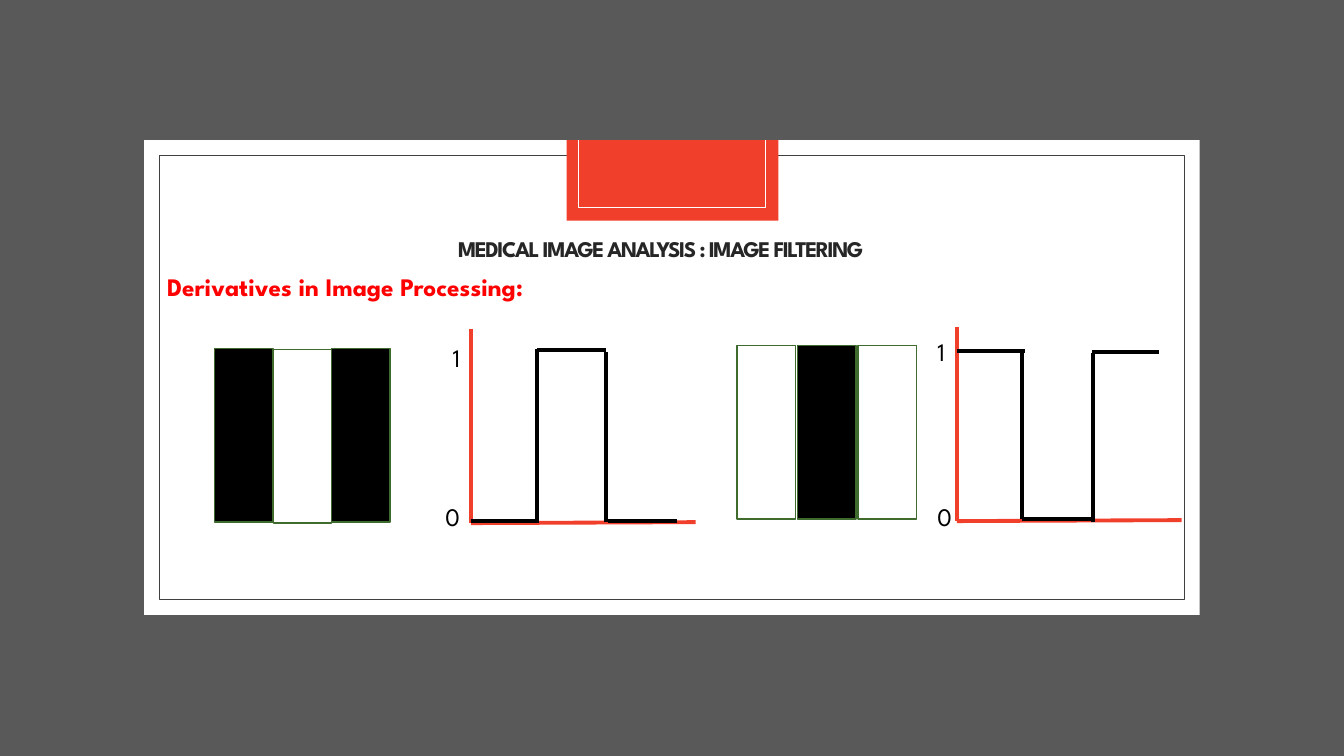
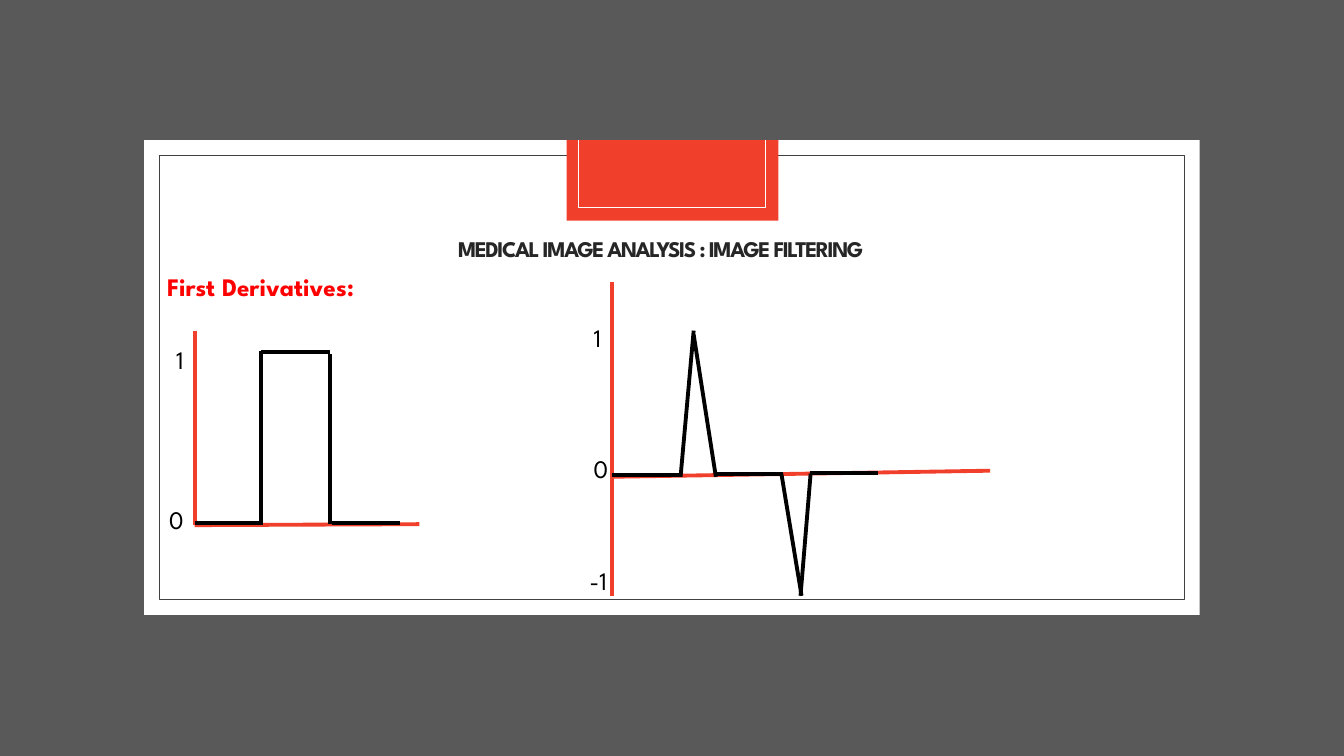
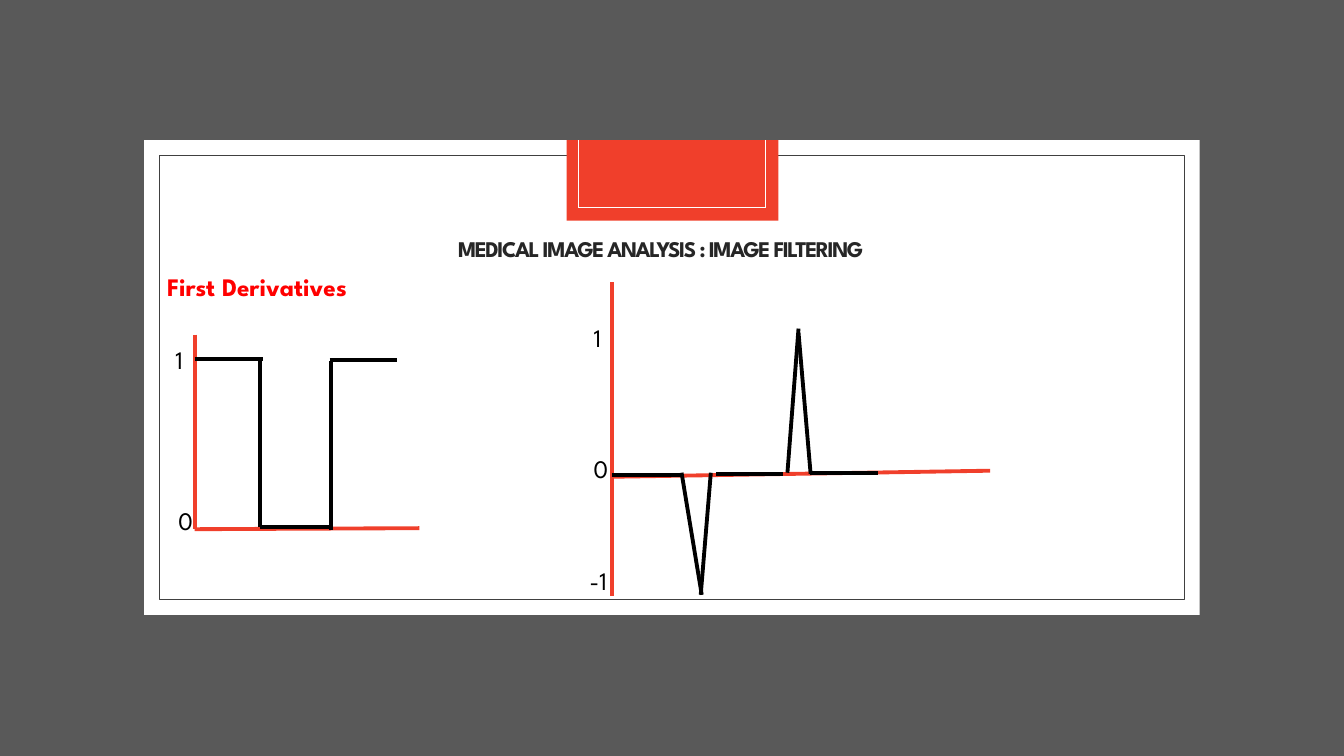
"""Build three slides on derivatives of step signals in image filtering."""
from lxml.etree import SubElement
from pptx import Presentation
from pptx.dml.color import RGBColor
from pptx.enum.shapes import MSO_CONNECTOR as CONNECTOR, MSO_SHAPE as SHAPE
from pptx.enum.text import MSO_ANCHOR as ANCHOR, PP_ALIGN as ALIGN
from pptx.oxml.ns import qn
from pptx.util import Inches, Pt

COLORS = {
    "background": "595959",
    "white": "FFFFFF",
    "black": "000000",
    "accent": "F03F2B",
    "frame": "404040",
    "stripe_edge": "406B2F",
    "title": "262626",
    "heading": "FF0000",
}
FONT = "League Spartan"
TITLE = "MEDICAL IMAGE ANALYSIS : IMAGE FILTERING"

BACKDROP = [
    (0, 0, 13.33, 7.5, "background", None),
    (1.43, 1.39, 10.47, 4.71, "white", None),
    (1.58, 1.54, 10.17, 4.41, None, "frame"),
    (5.62, 1.39, 2.1, 0.8, "accent", None),
]
TAB_LINES = [
    (5.74, 1.39, 5.74, 2.06),
    (7.59, 1.39, 7.59, 2.06),
    (5.74, 2.06, 7.59, 2.06),
]

STEP_AXES = [(0, -1.93, 0, 0), (2.23, -0.01, 0, 0)]
PULSE = [
    (0, -0.02, 0.68, -0.02),
    (0.66, -0.04, 0.66, -1.73),
    (0.66, -1.72, 1.34, -1.72),
    (1.34, -0.01, 1.34, -1.7),
    (1.36, -0.02, 2.04, -0.02),
]
DIP = [
    (0, -1.69, 0.68, -1.69),
    (0.65, -0.02, 0.65, -1.7),
    (0.65, -0.02, 1.33, -0.02),
    (1.35, 0.01, 1.35, -1.67),
    (1.34, -1.68, 2.01, -1.68),
]
SPIKE_AXES = [(0, -1.91, 0, 1.2), (3.75, -0.04, 0, 0.02)]
FLATS = [
    (0, 0, 0.68, 0),
    (1.03, -0.01, 1.7, -0.01),
    (1.96, -0.02, 2.64, -0.02),
]
UP_THEN_DOWN = FLATS + [
    (0.68, 0.02, 0.81, -1.43),
    (1.03, 0.02, 0.81, -1.39),
    (1.88, 1.2, 1.68, -0.01),
    (1.87, 1.2, 1.97, -0.01),
]
DOWN_THEN_UP = FLATS + [
    (0.89, 1.19, 0.69, -0.02),
    (0.88, 1.19, 0.98, -0.02),
    (1.74, -0.02, 1.85, -1.45),
    (1.97, -0.01, 1.85, -1.41),
]
SPIKE_LABELS = [("1", 5.79, 3.15, 0.34), ("0", 5.79, 4.45, 0.34), ("-1", 5.75, 5.56, 0.43)]

SLIDES = [
    {
        "heading": "Derivatives in Image Processing:",
        "stripes": [
            (2.13, 3.46, 0.58, 0.01, "black", "white"),
            (7.31, 3.43, 0.6, 0, "white", "black"),
        ],
        "plots": [(4.67, 5.19, STEP_AXES, PULSE), (9.49, 5.17, STEP_AXES, DIP)],
        "labels": [
            ("1", 4.39, 3.35, 0.34),
            ("0", 4.32, 4.92, 0.34),
            ("1", 9.2, 3.29, 0.34),
            ("0", 9.2, 4.92, 0.34),
        ],
    },
    {
        "heading": "First Derivatives:",
        "stripes": [],
        "plots": [(1.93, 5.21, STEP_AXES, PULSE), (6.07, 4.71, SPIKE_AXES, UP_THEN_DOWN)],
        "labels": [("1", 1.65, 3.37, 0.34), ("0", 1.58, 4.95, 0.34)] + SPIKE_LABELS,
    },
    {
        "heading": "First Derivatives",
        "stripes": [],
        "plots": [(1.93, 5.25, STEP_AXES, DIP), (6.07, 4.71, SPIKE_AXES, DOWN_THEN_UP)],
        "labels": [("1", 1.64, 3.37, 0.34), ("0", 1.67, 4.96, 0.4)] + SPIKE_LABELS,
    },
]


def add_line(slide, points, color, width, left=0, top=0):
    x1, y1, x2, y2 = points
    connector = slide.shapes.add_connector(
        CONNECTOR.STRAIGHT,
        Inches(left + x1), Inches(top + y1), Inches(left + x2), Inches(top + y2),
    )
    connector.line.color.rgb = RGBColor.from_string(COLORS[color])
    connector.line.width = Pt(width)
    SubElement(connector._element.spPr, qn("a:effectLst"))


def add_text(slide, text, box, color, size=18, bold=False, wrap=True):
    shape = slide.shapes.add_textbox(*[Inches(value) for value in box])
    shape.text_frame.word_wrap = wrap
    run = shape.text_frame.paragraphs[0].add_run()
    run.text = text
    run.font.name = FONT
    run.font.size = Pt(size)
    run.font.bold = bold
    run.font.color.rgb = RGBColor.from_string(COLORS[color])
    return shape


presentation = Presentation()
presentation.slide_width = Inches(13.33)
presentation.slide_height = Inches(7.5)

for content in SLIDES:
    slide = presentation.slides.add_slide(presentation.slide_layouts[6])

    rectangles = [(*backdrop, 0.5) for backdrop in BACKDROP]
    for left, top, step, inner_drop, outer, inner in content["stripes"]:
        for index, drop, fill in [(0, 0, outer), (2, 0, outer), (1, inner_drop, inner)]:
            rectangles.append(
                (left + index * step, top + drop, 0.58, 1.72, fill, "stripe_edge", 1)
            )
    for *box, fill, edge, width in rectangles:
        shape = slide.shapes.add_shape(SHAPE.RECTANGLE, *[Inches(value) for value in box])
        shape.shadow.inherit = False
        if fill:
            shape.fill.solid()
            shape.fill.fore_color.rgb = RGBColor.from_string(COLORS[fill])
        else:
            shape.fill.background()
        if edge:
            shape.line.color.rgb = RGBColor.from_string(COLORS[edge])
            shape.line.width = Pt(width)
        else:
            shape.line.fill.background()

    for points in TAB_LINES:
        add_line(slide, points, "white", 0.5)

    title = add_text(slide, TITLE, (1.67, 2.24, 9.77, 0.5), "title", size=16, bold=True)
    title.text_frame.vertical_anchor = ANCHOR.MIDDLE
    paragraph = title.text_frame.paragraphs[0]
    paragraph.alignment = ALIGN.CENTER
    paragraph.line_spacing = 0.83
    paragraph.runs[0].font._element.set("spc", "-100")

    add_text(slide, content["heading"], (1.56, 2.64, 6.67, 0.4), "heading", bold=True)

    for left, top, axes, signal in content["plots"]:
        for color, lines in [("accent", axes), ("black", signal)]:
            for points in lines:
                add_line(slide, points, color, 2.75, left, top)

    for text, left, top, width in content["labels"]:
        add_text(slide, text, (left, top, width, 0.4), "black", wrap=text == "0")

presentation.save("out.pptx")
